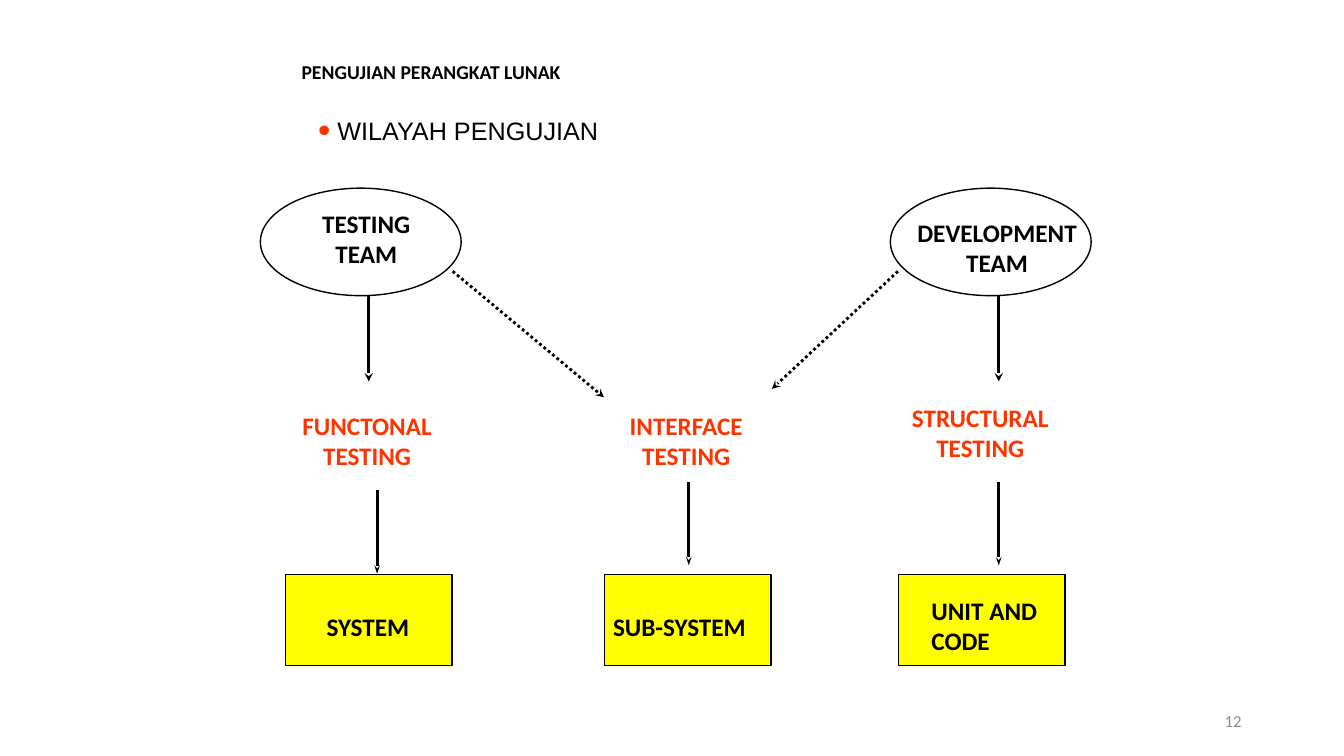
from pptx import Presentation
from pptx.dml.color import RGBColor
from pptx.enum.dml import MSO_LINE
from pptx.enum.shapes import MSO_CONNECTOR, MSO_SHAPE
from pptx.enum.text import MSO_ANCHOR, PP_ALIGN
from pptx.oxml.ns import qn
from pptx.util import Inches, Pt
from lxml import etree

LEFT, CENTER, RIGHT = PP_ALIGN.LEFT, PP_ALIGN.CENTER, PP_ALIGN.RIGHT
TOP, MIDDLE = MSO_ANCHOR.TOP, MSO_ANCHOR.MIDDLE
RECT, OVAL = MSO_SHAPE.RECTANGLE, MSO_SHAPE.OVAL
STRAIGHT, DOTS = MSO_CONNECTOR.STRAIGHT, MSO_LINE.ROUND_DOT

THEME = {
    "black": RGBColor(0, 0, 0), "red": RGBColor(0xFF, 0x33, 0),
    "yellow": RGBColor(0xFF, 0xFF, 0), "gray": RGBColor(0x8C, 0x8C, 0x8C),
    "font": "Calibri", "plain": "Arial",
    "body": 18, "title": 14, "small": 12,
}

deck = Presentation()
deck.slide_width, deck.slide_height = Inches(13.33), Inches(7.5)
slide = deck.slides.add_slide(deck.slide_layouts[5])
shapes = slide.shapes
COL, ROW = deck.slide_width / 160, deck.slide_height / 90


def place(x, y, w, h):
    """Turn grid columns and rows into slide lengths."""
    return [round(n * unit) for n, unit in zip((x, y, w, h), (COL, ROW) * 2)]


def write(text, spot, box=None, color="black", size="body", font="font",
          bold=True, align=LEFT, anchor=TOP, wrap=False, bullet=None):
    """Put text, one paragraph a line, in a box or a new text box."""
    box = box or shapes.add_textbox(0, 0, 0, 0)
    box.left, box.top, box.width, box.height = place(*spot)
    frame = box.text_frame
    frame.text = text
    frame.word_wrap, frame.vertical_anchor = wrap, anchor
    for para in frame.paragraphs:
        if bullet:
            props = para._p.get_or_add_pPr()
            props.set("marL", str(Inches(0.19)))
            props.set("indent", str(-Inches(0.19)))
            tint = etree.SubElement(props, qn("a:buClr"))
            etree.SubElement(tint, qn("a:srgbClr"), val=str(THEME[bullet]))
            etree.SubElement(props, qn("a:buSzPct"), val="140000")
            etree.SubElement(props, qn("a:buFont"), typeface=THEME[font])
            etree.SubElement(props, qn("a:buChar"), char="•")
        para.alignment = align
        para.font.name, para.font.size = THEME[font], Pt(THEME[size])
        para.font.bold, para.font.color.rgb = bold, THEME[color]


write("PENGUJIAN PERANGKAT LUNAK", (34.7, 6.5, 47.3, 4.1),
      box=shapes.title, size="title", wrap=True)
write("WILAYAH PENGUJIAN", (36.7, 13.1, 93.2, 4.8), font="plain",
      bold=False, wrap=True, bullet="red")
write("12", (113, 83.4, 36, 4.8), color="gray", size="small", bold=False,
      align=RIGHT, anchor=MIDDLE, wrap=True)

# Teams and the parts they test
ovals = [(OVAL, (x, 22.4, 23.9, 12.8)) for x in (31, 106)]
boxes = [(RECT, (x, 68.4, 19.8, 10.8)) for x in (34, 72, 107)]
for kind, spot in ovals + boxes:
    shape = shapes.add_shape(kind, *place(*spot))
    shape.shadow.inherit = False
    shape.line.color.rgb, shape.line.width = THEME["black"], Pt(1)
    if kind == RECT:
        shape.fill.solid()
        shape.fill.fore_color.rgb = THEME["yellow"]
    else:
        shape.fill.background()

for text, x, y, w, h, color, align in (
    ("TESTING\nTEAM", 37.1, 24.2, 13, 8.5, "black", CENTER),
    ("DEVELOPMENT\nTEAM", 107.9, 25.3, 21.6, 8.5, "black", CENTER),
    ("FUNCTONAL\nTESTING", 34.7, 48.2, 18, 8.5, "red", CENTER),
    ("INTERFACE\nTESTING", 73.7, 48.2, 16, 8.5, "red", CENTER),
    ("STRUCTURAL\nTESTING", 107.2, 47.3, 19, 8.5, "red", CENTER),
    ("SYSTEM", 37.7, 72.2, 12.4, 4.8, "black", LEFT),
    ("SUB-SYSTEM", 71.8, 72.2, 18.4, 4.8, "black", LEFT),
    ("UNIT AND\nCODE", 109.7, 70.3, 15.1, 8.5, "black", LEFT),
):
    write(text, (x, y, w, h), color=color, align=align)

# Arrows: start, end, head width, dash
for start, end, head, dash in (
    ((43.9, 35.3), (43.9, 45.4), "med", None),
    ((118.9, 35.3), (118.9, 45.4), "med", None),
    ((53.9, 32.3), (71.9, 47.3), "med", DOTS),
    ((106.9, 32.3), (91.9, 46.3), "med", DOTS),
    ((44.9, 58.3), (44.9, 68.3), "sm", None),
    ((82, 57.4), (82, 67.3), "sm", None),
    ((118.9, 57.4), (118.9, 67.3), "sm", None),
):
    arrow = shapes.add_connector(STRAIGHT, *place(*start, *end))
    arrow.line.color.rgb, arrow.line.width = THEME["black"], Pt(2)
    if dash:
        arrow.line.dash_style = dash
    etree.SubElement(arrow.line._get_or_add_ln(), qn("a:tailEnd"),
                     type="stealth", w=head, len="med")
    etree.SubElement(arrow._element.spPr, qn("a:effectLst"))

deck.save("out.pptx")
